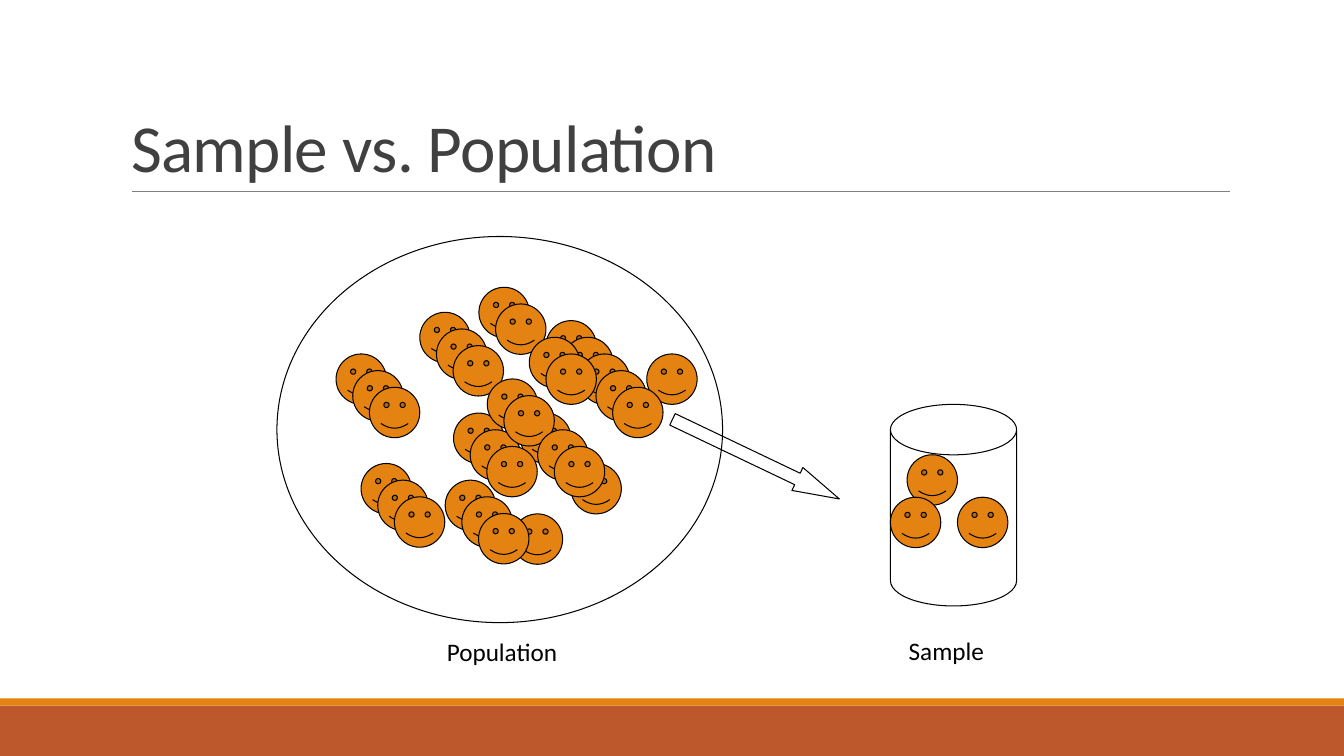
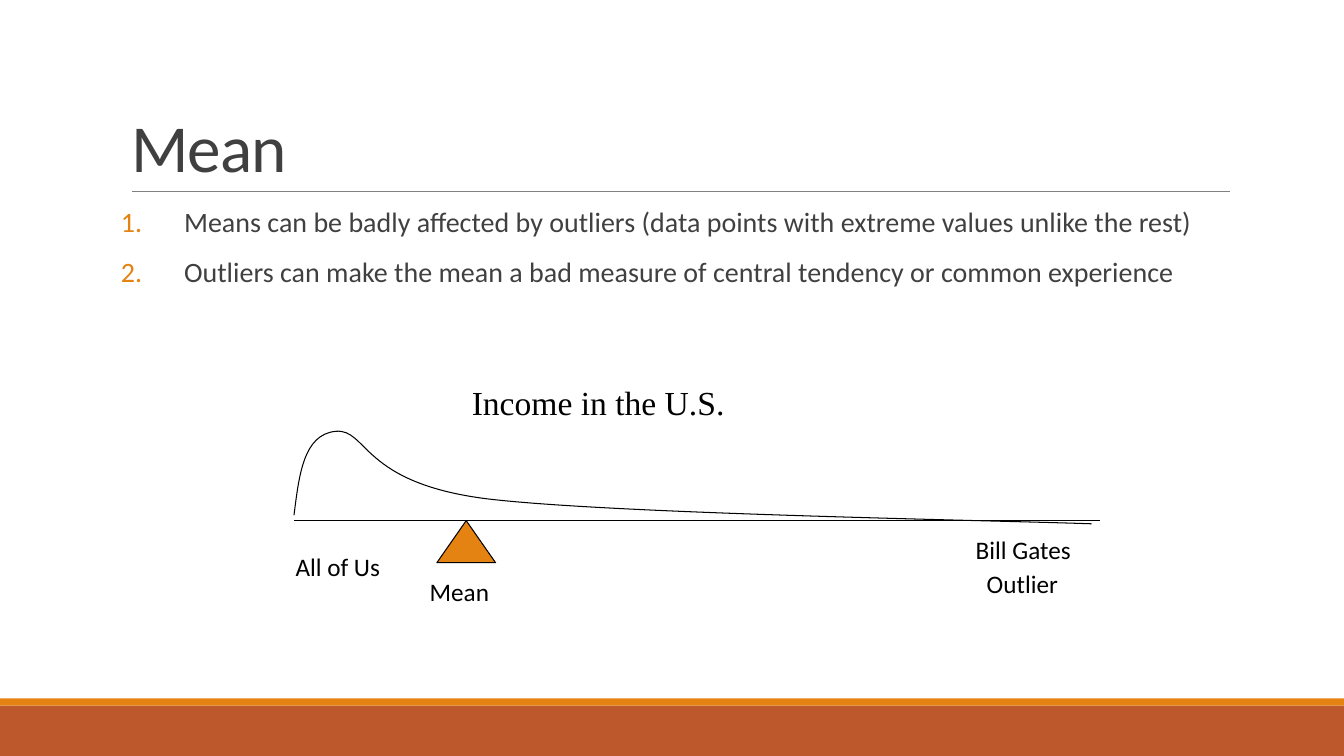
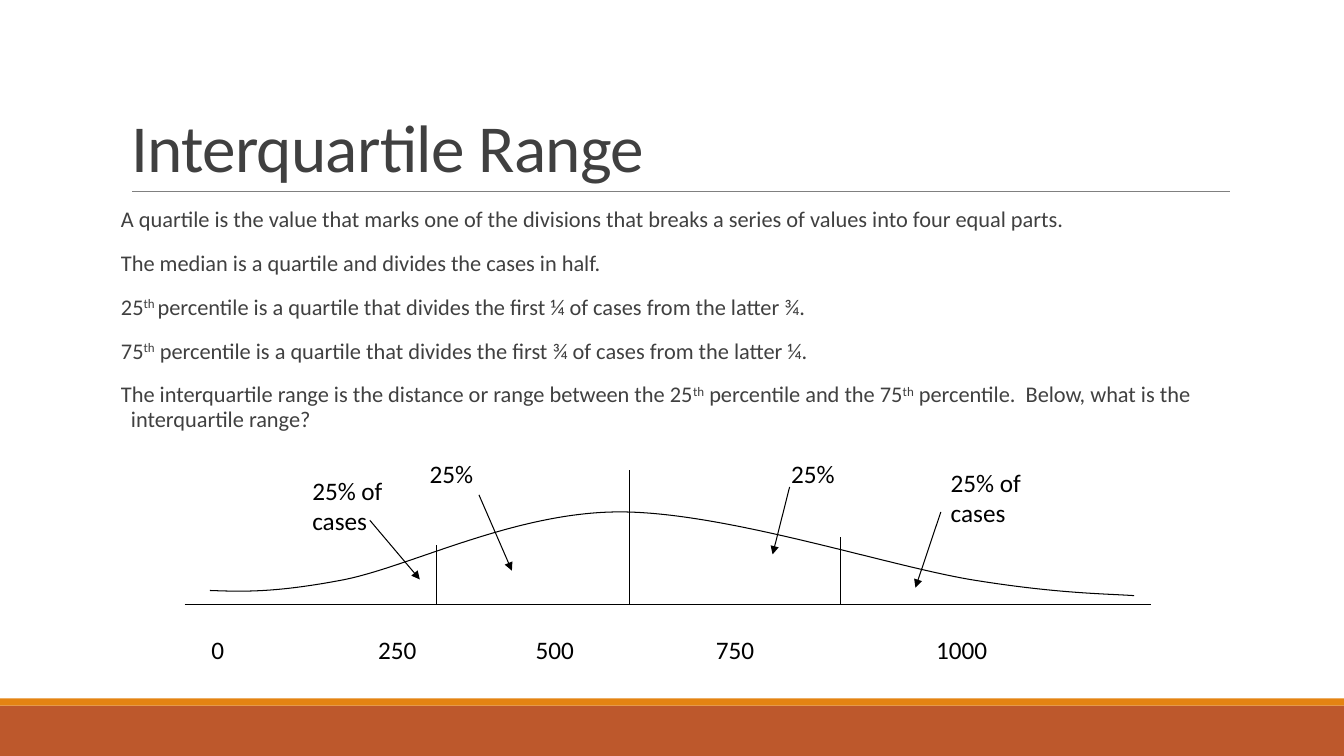
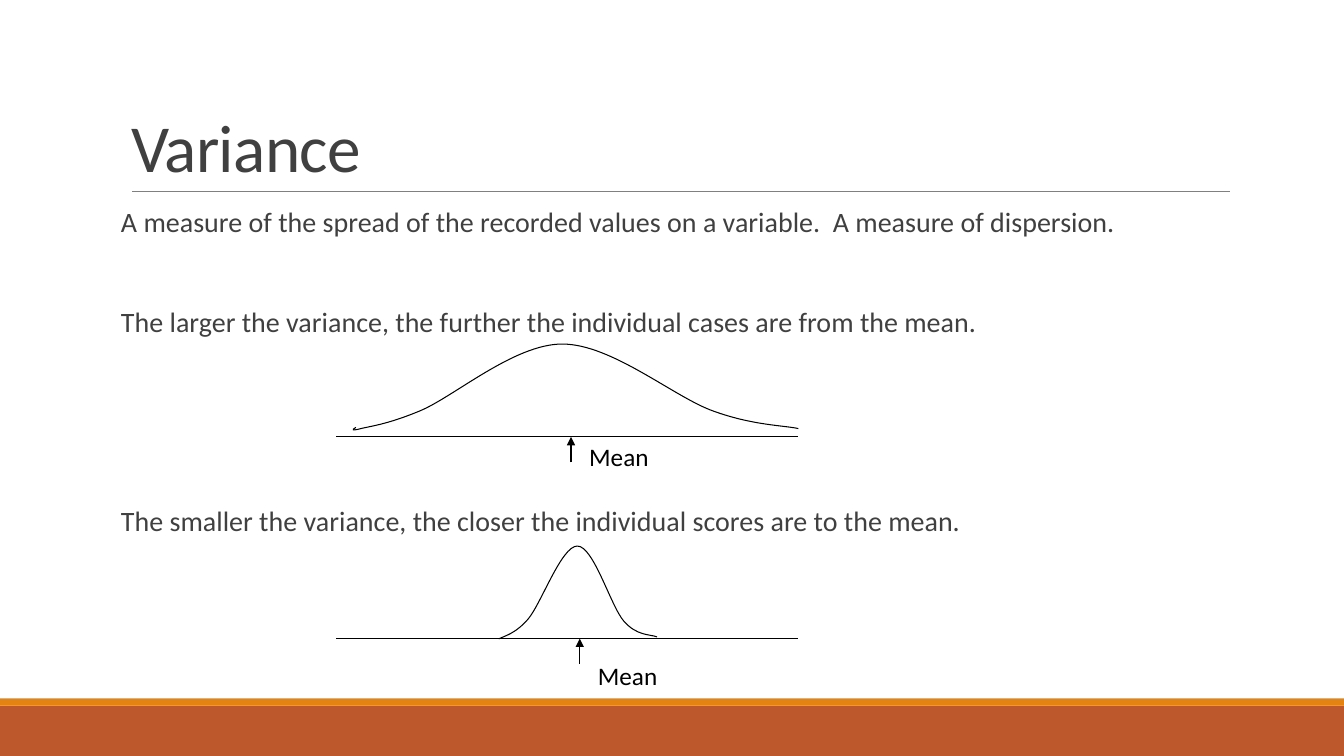
from dataclasses import dataclass

from lxml import etree
from pptx import Presentation
from pptx.dml.color import RGBColor
from pptx.enum.shapes import MSO_CONNECTOR, MSO_SHAPE
from pptx.enum.text import MSO_ANCHOR, MSO_AUTO_SIZE, PP_ALIGN
from pptx.oxml.ns import qn
from pptx.util import Cm, Pt

RECT, OVAL, CAN = MSO_SHAPE.RECTANGLE, MSO_SHAPE.OVAL, MSO_SHAPE.CAN
FACE, TRIANGLE, ARROW = MSO_SHAPE.SMILEY_FACE, MSO_SHAPE.ISOSCELES_TRIANGLE, MSO_SHAPE.LEFT_ARROW
STRAIGHT = MSO_CONNECTOR.STRAIGHT
LEFT, CENTER = PP_ALIGN.LEFT, PP_ALIGN.CENTER
TOP, BOTTOM = MSO_ANCHOR.TOP, MSO_ANCHOR.BOTTOM
NO_AUTOFIT = MSO_AUTO_SIZE.NONE


@dataclass(frozen=True)
class Theme:
    orange: str = "E48312"
    rust: str = "BD582C"
    gray: str = "404040"
    rule: str = "808080"
    ink: str = "000000"
    font: str = "Calibri"
    serif: str = "Times New Roman"
    title: int = 48
    heading: int = 24
    body: int = 20
    label: int = 18
    small: int = 16
    outline: float = 0.75
    hairline: float = 0.5


THEME = Theme()
WIDTH, HEIGHT = 33.87, 19.05
FACE_SIZE, FACE_STEP = 1.27, 0.42

POPULATION = [
    (10.58, 7.87, 3), (12.07, 7.24, 2), (16.3, 8.92, 1), (13.76, 8.08, 5),
    (13.34, 8.5, 2), (8.47, 8.92, 3), (13.12, 10.41, 1), (11.43, 10.41, 3),
    (12.28, 9.55, 2), (14.39, 11.68, 1), (13.55, 10.83, 2), (12.91, 12.95, 1),
    (9.1, 11.68, 3), (11.22, 12.1, 3),
]
SAMPLE = [(22.86, 11.46, 1), (24.13, 12.53, 1), (22.44, 12.53, 1)]

INCOME_CURVE = [
    (7.41, 12.98), (7.54, 11.96), (7.65, 10.95), (8.46, 10.87), (9.27, 10.8),
    (9.09, 12.17), (12.27, 12.57), (15.44, 12.95), (24.97, 13.11), (27.51, 13.2),
]
QUARTILE_CURVE = [
    (5.29, 14.88), (6.12, 14.91), (6.93, 14.94), (8.66, 14.61), (10.36, 14.27),
    (12.98, 12.9), (15.62, 12.9), (18.26, 12.9), (22.33, 14.25), (24.49, 14.61),
    (26.64, 14.96), (27.86, 14.96), (28.58, 15.01),
]
WIDE_CURVE = [
    (8.97, 10.77), (8.99, 10.77), (8.76, 10.87), (9.02, 10.82), (9.3, 10.74),
    (9.7, 10.72), (10.57, 10.36), (11.43, 10.01), (12.95, 8.67), (14.17, 8.67),
    (15.42, 8.67), (16.99, 10.01), (17.98, 10.36), (18.97, 10.72), (19.76, 10.72),
    (20.12, 10.8),
]
NARROW_CURVE = [
    (12.57, 16.1), (12.7, 16.03), (12.98, 15.98), (13.31, 15.6), (13.64, 15.21),
    (14.15, 13.76), (14.55, 13.76), (14.96, 13.76), (15.39, 15.27), (15.72, 15.65),
    (16.05, 16.03), (16.38, 15.98), (16.56, 16.05),
]


def rgb(color):
    return RGBColor.from_string(color)


def write(frame, text, size=THEME.label, color=THEME.ink, font=THEME.font, align=LEFT,
          before=0, after=0, spacing=1.0, hanging=0, numbered=False, tracking=0, tabs=()):
    paragraph = frame.add_paragraph() if frame.text else frame.paragraphs[0]
    paragraph.alignment = align
    paragraph.line_spacing = spacing
    paragraph.space_before, paragraph.space_after = Pt(before), Pt(after)
    properties = paragraph._p.get_or_add_pPr()
    if hanging:
        properties.set("marL", str(Cm(hanging)))
        properties.set("indent", str(-Cm(hanging)))
    if numbered:
        number_color = etree.SubElement(properties, qn("a:buClr"))
        etree.SubElement(number_color, qn("a:srgbClr"), val=THEME.orange)
        etree.SubElement(properties, qn("a:buAutoNum"), type="arabicPeriod")
    if tabs:
        stops = etree.SubElement(properties, qn("a:tabLst"))
        for stop in tabs:
            etree.SubElement(stops, qn("a:tab"), pos=str(Cm(stop)), algn="l")
    for index, piece in enumerate(text.split("^")):
        run = paragraph.add_run()
        run.text = piece
        run.font.size, run.font.name = Pt(size), font
        run.font.color.rgb = rgb(color)
        if tracking:
            run._r.get_or_add_rPr().set("spc", str(tracking))
        if index % 2:
            run._r.get_or_add_rPr().set("baseline", "30000")


def text_frame(slide, x, y, width, height):
    frame = slide.shapes.add_textbox(Cm(x), Cm(y), Cm(width), Cm(height)).text_frame
    frame.word_wrap = True
    frame.vertical_anchor = TOP
    return frame


def label(slide, text, x, y, width, height=1.02, **style):
    write(text_frame(slide, x, y, width, height), text, **style)


def body(slide, paragraphs, size=THEME.body, hanging=0.25, numbered=False):
    frame = text_frame(slide, 3.05, 5.13, 27.94, 11.18)
    frame.margin_left = frame.margin_right = 0
    for text, before in paragraphs:
        write(frame, text, size=size, color=THEME.gray, before=before, after=2,
              spacing=0.9, hanging=hanging, numbered=numbered)


def paint(shape, fill=None, outline=THEME.ink):
    shape.shadow.inherit = False
    if fill:
        shape.fill.solid()
        shape.fill.fore_color.rgb = rgb(fill)
    else:
        shape.fill.background()
    if outline:
        shape.line.color.rgb = rgb(outline)
        shape.line.width = Pt(THEME.outline)
    else:
        shape.line.fill.background()


def figure(slide, kind, x, y, width, height, fill=None, outline=THEME.ink):
    shape = slide.shapes.add_shape(kind, Cm(x), Cm(y), Cm(width), Cm(height))
    paint(shape, fill, outline)
    return shape


def line(slide, start, end, color=THEME.ink, width=THEME.outline, arrow=False):
    connector = slide.shapes.add_connector(
        STRAIGHT, Cm(start[0]), Cm(start[1]), Cm(end[0]), Cm(end[1]))
    connector.line.color.rgb = rgb(color)
    connector.line.width = Pt(width)
    if arrow:
        etree.SubElement(connector.line._get_or_add_ln(), qn("a:tailEnd"), type="triangle")
    etree.SubElement(connector._element.spPr, qn("a:effectLst"))
    return connector


def curve(slide, points):
    start, *controls = [(Cm(x), Cm(y)) for x, y in points]
    builder = slide.shapes.build_freeform(*start)
    builder.add_line_segments(controls, close=False)
    shape = builder.convert_to_shape()
    segments = list(shape.element.iter(qn("a:lnTo")))
    for first in range(0, len(segments), 3):
        cubic = etree.Element(qn("a:cubicBezTo"))
        segments[first].addprevious(cubic)
        for segment in segments[first:first + 3]:
            cubic.append(segment[0])
            segment.getparent().remove(segment)
    paint(shape)


def faces(slide, chains):
    for x, y, count in chains:
        for step in range(count):
            shift = step * FACE_STEP
            figure(slide, FACE, x + shift, y + shift, FACE_SIZE, FACE_SIZE, THEME.orange)


def decorate_layout(layout, slide):
    for placeholder in list(layout.placeholders):
        if placeholder.placeholder_format.idx:
            placeholder.element.getparent().remove(placeholder.element)
    decorations = [
        figure(slide, RECT, 0, 17.78, WIDTH, 1.27, THEME.rust, None),
        figure(slide, RECT, 0, 17.6, WIDTH, 0.18, THEME.orange, None),
        line(slide, (3.33, 4.83), (31, 4.83), THEME.rule, THEME.hairline),
    ]
    for decoration in decorations:
        layout.shapes.element.append(decoration.element)


def titled_slide(deck, text):
    layout = deck.slide_layouts[5]
    slide = deck.slides.add_slide(layout)
    if len(deck.slides) == 1:
        decorate_layout(layout, slide)
    title = slide.shapes.title
    title.left, title.top, title.width, title.height = Cm(3.05), Cm(0.79), Cm(27.94), Cm(4.04)
    frame = title.text_frame
    frame.auto_size = NO_AUTOFIT
    frame.vertical_anchor = BOTTOM
    write(frame, text, size=THEME.title, color=THEME.gray, spacing=0.85, tracking=-50)
    return slide


def sample_slide(deck):
    slide = titled_slide(deck, "Sample vs. Population")
    label(slide, "Population", 11.01, 15.9, 4.65)
    figure(slide, OVAL, 6.98, 5.96, 11.23, 9.73)
    faces(slide, POPULATION + SAMPLE)
    draw = figure(slide, ARROW, 16.72, 11.25, 4.66, 0.64)
    draw.adjustments[1] = 1.83
    draw.rotation = 205.5
    label(slide, "Sample", 22.65, 15.89, 2.75)
    jar = figure(slide, CAN, 22.44, 10.19, 3.18, 5.08)
    jar.adjustments[0] = 0.4


def mean_slide(deck):
    slide = titled_slide(deck, "Mean")
    body(slide, [
        ("Means can be badly affected by outliers (data points with extreme values unlike the rest)", 12),
        ("Outliers can make the mean a bad measure of central tendency or common experience", 12),
    ], hanging=1.59, numbered=True)
    line(slide, (7.41, 13.12), (27.73, 13.12))
    figure(slide, TRIANGLE, 11.01, 13.12, 1.48, 1.06, THEME.orange)
    curve(slide, INCOME_CURVE)
    label(slide, "All of Us", 7.2, 13.77, 4.45)
    label(slide, "Bill Gates", 24.34, 13.34, 3.81)
    label(slide, "Mean", 10.58, 14.4, 4.45)
    label(slide, "Outlier", 23.54, 14.19, 4.45, align=CENTER)
    label(slide, "Income in the U.S.", 11.64, 9.5, 10.16, 1.27, size=THEME.heading, font=THEME.serif)


def quartile_slide(deck):
    slide = titled_slide(deck, "Interquartile Range")
    body(slide, [(text, 12) for text in (
        "A quartile is the value that marks one of the divisions that breaks a series of values into four equal parts.",
        "The median is a quartile and divides the cases in half.",
        "25^th ^percentile is a quartile that divides the first ¼ of cases from the latter ¾.",
        "75^th^ percentile is a quartile that divides the first ¾ of cases from the latter ¼.",
        "The interquartile range is the distance or range between the 25^th^ percentile and the "
        "75^th^ percentile.  Below, what is the interquartile range?",
    )], size=THEME.small)
    curve(slide, QUARTILE_CURVE)
    baseline = 15.24
    line(slide, (4.65, baseline), (29, baseline))
    label(slide, "0\t250\t500\t750\t1000", 5.08, 15.87, 24.13, tabs=(4.2, 8.17, 12.71, 18.26))
    for x, top in ((11.01, 13.74), (21.17, 13.54), (15.87, 11.84)):
        line(slide, (x, baseline), (x, top))
    for share, x, y, height, start, end in (
        ("25% of cases", 7.62, 11.85, 1.8, (9.32, 13.11), (10.58, 14.6)),
        ("25%", 10.58, 11.43, 1.02, (12.07, 12.47), (12.9, 14.38)),
        ("25%", 19.69, 11.43, 1.02, (19.9, 12.27), (19.47, 13.97)),
        ("25% of cases", 23.71, 11.64, 1.8, (23.71, 12.9), (23.07, 14.81)),
    ):
        label(slide, share, x, y, 2.34, height)
        line(slide, start, end, arrow=True)


def variance_slide(deck):
    slide = titled_slide(deck, "Variance")
    body(slide, [
        ("A measure of the spread of the recorded values on a variable.  A measure of dispersion.", 12),
        ("The larger the variance, the further the individual cases are from the mean.", 48),
        ("The smaller the variance, the closer the individual scores are to the mean.", 118.5),
    ])
    for points, baseline, mean, label_x, label_y in (
        (WIDE_CURVE, 11.01, 14.39, 14.6, 11),
        (NARROW_CURVE, 16.09, 14.61, 14.82, 16.52),
    ):
        curve(slide, points)
        line(slide, (8.47, baseline), (20.11, baseline))
        line(slide, (mean, baseline + 0.64), (mean, baseline), arrow=True)
        label(slide, "Mean", label_x, label_y, 3.81)


def main():
    deck = Presentation()
    deck.slide_width, deck.slide_height = Cm(WIDTH), Cm(HEIGHT)
    for build in (sample_slide, mean_slide, quartile_slide, variance_slide):
        build(deck)
    deck.save("out.pptx")


if __name__ == "__main__":
    main()
